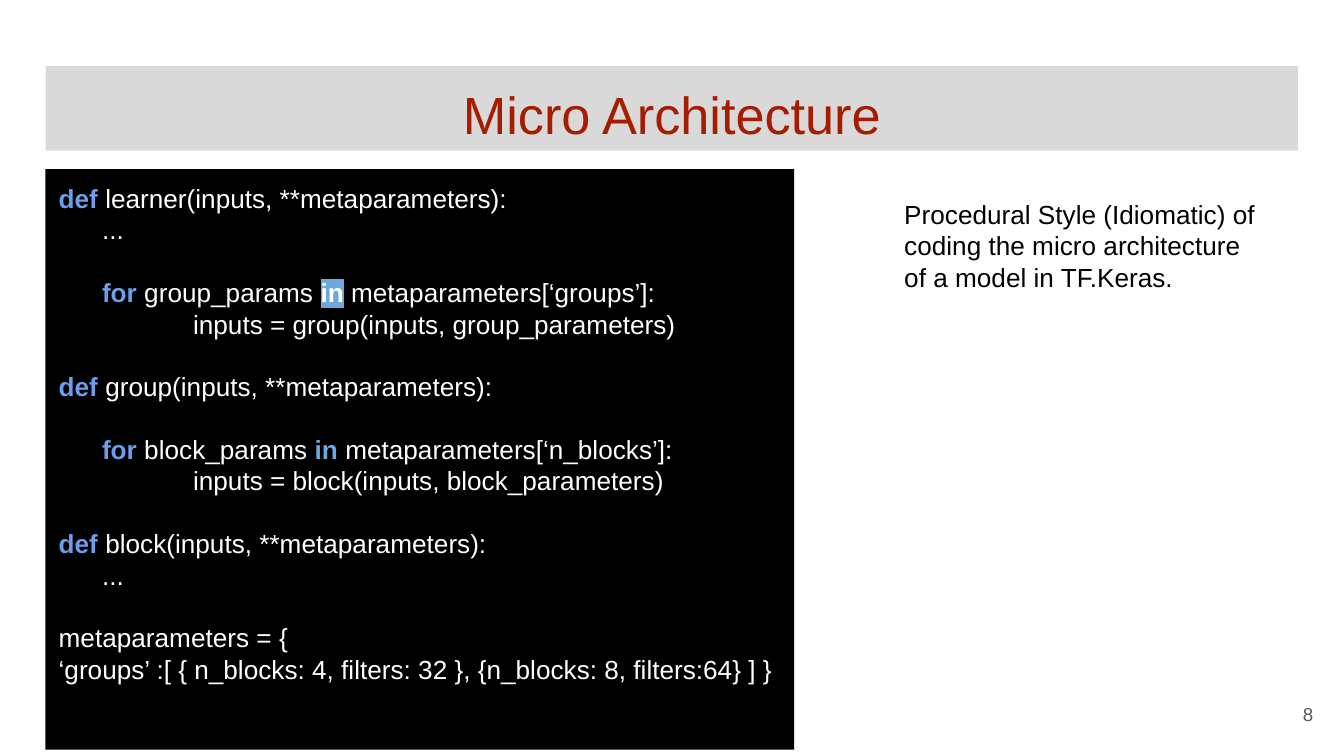
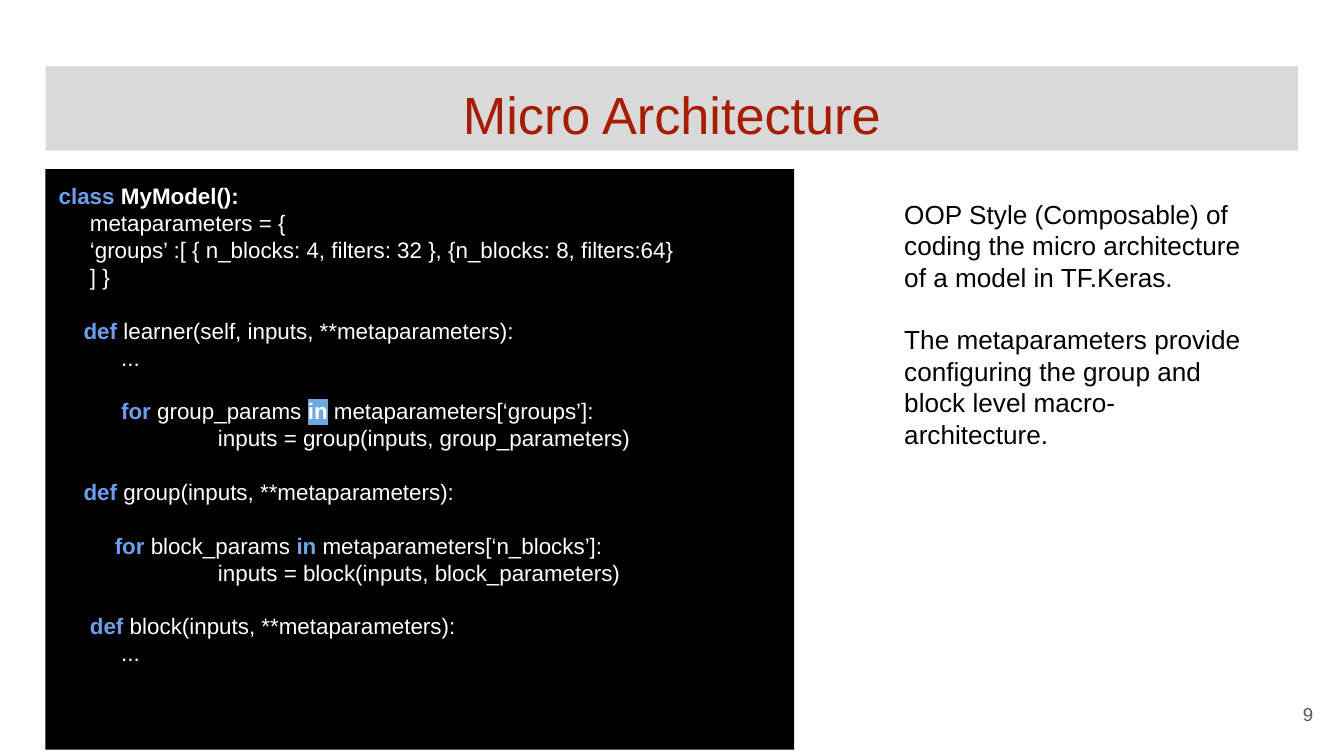
import pptx
import pptx.dml.color
import pptx.enum.shapes
import pptx.enum.text
import pptx.oxml
import pptx.oxml.ns
import pptx.util
from pptx.util import Cm

RGBColor = pptx.dml.color.RGBColor
WHITE = RGBColor(0xFF, 0xFF, 0xFF)
BLACK = RGBColor(0, 0, 0)
BAND = RGBColor(0xD9, 0xD9, 0xD9)
RED = RGBColor(0xA6, 0x1C, 0x00)
GREY = RGBColor(0x59, 0x59, 0x59)
BLUE = RGBColor(0x6D, 0x9E, 0xEB)
SKY = RGBColor(0x6F, 0xA8, 0xDC)

ALIGN = pptx.enum.text.PP_ALIGN
ANCHOR = pptx.enum.text.MSO_ANCHOR
FONT = "Arial"
LINE = 1.2
INSET = Cm(0.25)

TITLE_BOX = (Cm(0.86), Cm(1.25), Cm(23.67), Cm(1.6))
CODE_BOX = (Cm(0.86), Cm(3.2), Cm(14.15), Cm(10.97))
NOTE_BOX = (Cm(16.84), Cm(3.5), Cm(7.21), Cm(10.03))
NUMBER_BOX = (Cm(23.55), Cm(12.95), Cm(1.52), Cm(1.09))

STYLES = {
    "plain": (WHITE, False, None),
    "strong": (WHITE, True, None),
    "key": (BLUE, True, None),
    "in": (SKY, True, None),
    "marked": (WHITE, True, SKY),
}


def row(indent, *runs, gap=False):
    return indent, gap, runs


def plain(indent, text, gap=False):
    return row(indent, (text, "plain"), gap=gap)


def define(indent, signature, gap=True):
    return row(indent, ("def ", "key"), (signature, "plain"), gap=gap)


def loop(indent, body_indent, name, key, in_style):
    return [
        row(indent, ("for", "key"), (f" {name}_params ", "plain"),
            ("in", in_style), (f" metaparameters[‘{key}’]:", "plain"), gap=True),
        plain(body_indent, f"inputs = {name}({'inputs'}, {name}_parameters)"),
    ]


PROCEDURAL = [
    define(0, "learner(inputs, **metaparameters):", gap=False),
    plain(0.82, "..."),
    *loop(0.82, 2.54, "group", "groups", "marked"),
    define(0, "group(inputs, **metaparameters):"),
    *loop(0.82, 2.54, "block", "n_blocks", "in"),
    define(0, "block(inputs, **metaparameters):"),
    plain(0.82, "..."),
    plain(0, "metaparameters = {", gap=True),
    plain(0, "‘groups’ :[ { n_blocks: 4, filters: 32 }, {n_blocks: 8, filters:64} ] }"),
]

COMPOSABLE = [
    row(0, ("class ", "key"), ("MyModel():", "strong")),
    plain(0.59, "metaparameters = {"),
    plain(0.59, "‘groups’ :[ { n_blocks: 4, filters: 32 }, {n_blocks: 8, filters:64}"),
    plain(0.59, "] }"),
    define(0.47, "learner(self, inputs, **metaparameters):"),
    plain(1.18, "..."),
    *loop(1.18, 3.01, "group", "groups", "marked"),
    define(0.47, "group(inputs, **metaparameters):"),
    *loop(1.06, 3.01, "block", "n_blocks", "in"),
    define(0.59, "block(inputs, **metaparameters):"),
    plain(1.18, "..."),
]

SLIDES = [
    (8, PROCEDURAL, 14, [
        "Procedural Style (Idiomatic) of coding the micro architecture "
        "of a model in TF.Keras.",
    ]),
    (9, COMPOSABLE, 12, [
        "OOP Style (Composable) of coding the micro architecture "
        "of a model in TF.Keras.",
        "The metaparameters provide configuring the group and block level "
        "macro-architecture.",
    ]),
]


def place(sp, box):
    sp.left, sp.top, sp.width, sp.height = box


def format_frame(tf, anchor=ANCHOR.TOP):
    tf.word_wrap = True
    tf.auto_size = pptx.enum.text.MSO_AUTO_SIZE.NONE
    tf.vertical_anchor = anchor
    tf.margin_left = tf.margin_right = tf.margin_top = tf.margin_bottom = INSET


def format_run(r, size, color, bold=False):
    r.font.name = FONT
    r.font.size = pptx.util.Pt(size)
    r.font.bold = bold
    r.font.color.rgb = color


def format_paragraph(p, size, gap=False, align=ALIGN.LEFT):
    line = pptx.util.Pt(size * LINE)
    p.alignment = align
    p.line_spacing = line
    p.space_before = line if gap else pptx.util.Pt(0)


def highlight(r, color):
    mark = pptx.oxml.parse_xml(
        f'<a:highlight {pptx.oxml.ns.nsdecls("a")}><a:srgbClr val="{color}"/></a:highlight>')
    r.font.fill
    r._r.rPr.find(pptx.oxml.ns.qn("a:solidFill")).addnext(mark)


def next_paragraph(tf, index):
    return tf.add_paragraph() if index else tf.paragraphs[0]


def add_title(slide, box, text):
    sp = slide.shapes.title
    place(sp, box)
    sp.fill.solid()
    sp.fill.fore_color.rgb = BAND
    tf = sp.text_frame
    tf.text = text
    format_frame(tf)
    tf.margin_top = Cm(0.3)
    p = tf.paragraphs[0]
    format_paragraph(p, 28, align=ALIGN.CENTER)
    format_run(p.runs[0], 28, RED)


def add_code(slide, box, rows, size):
    sp = slide.shapes.add_shape(pptx.enum.shapes.MSO_SHAPE.RECTANGLE, *box)
    sp.shadow.inherit = False
    sp.fill.solid()
    sp.fill.fore_color.rgb = BLACK
    sp.line.fill.background()
    tf = sp.text_frame
    format_frame(tf)
    for i, (indent, gap, runs) in enumerate(rows):
        p = next_paragraph(tf, i)
        format_paragraph(p, size, gap)
        p._p.get_or_add_pPr().set("marL", str(Cm(indent)))
        for text, style in runs:
            color, bold, mark = STYLES[style]
            r = p.add_run()
            r.text = text
            format_run(r, size, color, bold)
            if mark:
                highlight(r, mark)


def add_text(slide, box, texts, size, color, align=ALIGN.LEFT, anchor=ANCHOR.TOP):
    tf = slide.shapes.add_textbox(*box).text_frame
    format_frame(tf, anchor)
    for i, text in enumerate(texts):
        p = next_paragraph(tf, i)
        p.text = text
        format_paragraph(p, size, i > 0, align)
        format_run(p.runs[0], size, color)


def add_code_slide(prs, number, rows, size, notes):
    slide = prs.slides.add_slide(prs.slide_layouts[5])
    add_title(slide, TITLE_BOX, "Micro Architecture")
    add_code(slide, CODE_BOX, rows, size)
    add_text(slide, NOTE_BOX, notes, 14, BLACK)
    add_text(slide, NUMBER_BOX, [str(number)], 10, GREY, ALIGN.RIGHT, ANCHOR.MIDDLE)


def main():
    prs = pptx.Presentation()
    prs.slide_width, prs.slide_height = Cm(25.4), Cm(14.29)
    for content in SLIDES:
        add_code_slide(prs, *content)
    prs.save("out.pptx")


if __name__ == "__main__":
    main()
